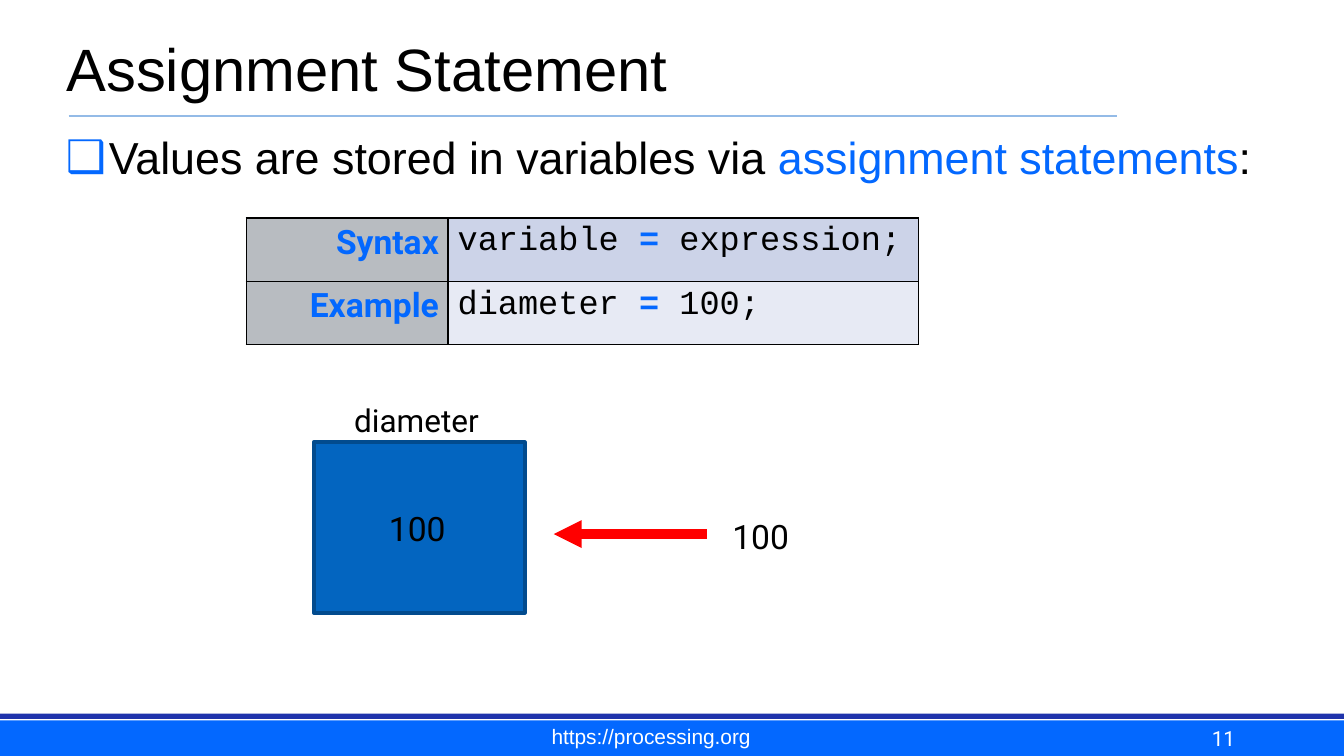
"""Build the slide that explains the assignment statement."""
from dataclasses import dataclass

from lxml.etree import SubElement
from pptx import Presentation
from pptx.dml.color import RGBColor
from pptx.enum.shapes import MSO_CONNECTOR, MSO_SHAPE
from pptx.enum.text import MSO_ANCHOR, PP_ALIGN
from pptx.oxml.ns import qn
from pptx.util import Inches, Pt


@dataclass(frozen=True)
class Theme:
    black: str = "000000"
    white: str = "FFFFFF"
    accent: str = "0368FF"
    navy: str = "1F33AB"
    rule: str = "94BBE7"
    label_fill: str = "B8BCC1"
    row_fills: tuple = ("CCD3E8", "E7EAF4")
    memory_fill: str = "0365C0"
    memory_edge: str = "024B8E"
    arrow: str = "FF0000"
    sans: str = "Arial"
    label: str = "Roboto"
    code: str = "Courier New"
    title_size: float = 32
    body_size: float = 24
    value_size: float = 18
    name_size: float = 16.9
    footer_size: float = 11.2


class SlideBuilder:
    cell = 0.1

    def __init__(self, page, theme):
        self.page = page
        self.theme = theme

    def grid(self, *counts):
        return [Inches(count * self.cell) for count in counts]

    def spans(self, para, parts, font, size):
        for text, color, bold in parts:
            span = para.add_run()
            span.text = text
            span.font.name = font
            span.font.size = Pt(size)
            span.font.bold = bold
            span.font.color.rgb = RGBColor.from_string(color)

    def text(self, area, parts, font, size, align=PP_ALIGN.CENTER,
             anchor=MSO_ANCHOR.TOP, insets=(1, 0.5), bullet=None):
        box = self.page.shapes.add_textbox(*self.grid(*area))
        frame = box.text_frame
        frame.word_wrap = True
        frame.vertical_anchor = anchor
        frame.margin_left, frame.margin_top = self.grid(*insets)
        frame.margin_right, frame.margin_bottom = self.grid(*insets)
        para = frame.paragraphs[0]
        para.alignment = align
        if bullet:
            self.bullet(para, bullet)
        self.spans(para, parts, font, size)

    def bullet(self, para, mark):
        props = para._p.get_or_add_pPr()
        hang = Inches(0.32)
        props.set("marL", str(hang))
        props.set("indent", str(-hang))
        color = SubElement(props, qn("a:buClr"))
        SubElement(color, qn("a:srgbClr"), val=self.theme.accent)
        SubElement(props, qn("a:buFont"), typeface=self.theme.sans)
        SubElement(props, qn("a:buChar"), char=mark)

    def rectangle(self, area, fill, edge=None, weight=0):
        box = self.page.shapes.add_shape(MSO_SHAPE.RECTANGLE, *self.grid(*area))
        box.shadow.inherit = False
        box.fill.solid()
        box.fill.fore_color.rgb = RGBColor.from_string(fill)
        if edge:
            box.line.color.rgb = RGBColor.from_string(edge)
            box.line.width = Pt(weight)
        else:
            box.line.fill.background()

    def line(self, ends, color, weight, arrow=False):
        line = self.page.shapes.add_connector(MSO_CONNECTOR.STRAIGHT, *self.grid(*ends))
        line.line.color.rgb = RGBColor.from_string(color)
        line.line.width = Pt(weight)
        if arrow:
            SubElement(line.line._get_or_add_ln(), qn("a:tailEnd"), type="triangle")
        SubElement(line._element.spPr, qn("a:effectLst"))

    def borders(self, cell):
        props = cell._tc.get_or_add_tcPr()
        for side in ("lnL", "lnR", "lnT", "lnB"):
            edge = SubElement(props, qn(f"a:{side}"), w=str(Pt(1)))
            fill = SubElement(edge, qn("a:solidFill"))
            SubElement(fill, qn("a:srgbClr"), val=self.theme.black)

    def table(self, area, widths, rows):
        theme = self.theme
        table = self.page.shapes.add_table(len(rows), len(widths), *self.grid(*area)).table
        table.first_row = table.horz_banding = False
        for column, width in zip(table.columns, self.grid(*widths)):
            column.width = width
        for index, (label, code) in enumerate(rows):
            contents = (
                ([(label, theme.accent, True)], theme.label, theme.label_fill, PP_ALIGN.RIGHT),
                (code, theme.code, theme.row_fills[index], PP_ALIGN.LEFT),
            )
            for column, (parts, font, fill, align) in enumerate(contents):
                cell = table.cell(index, column)
                cell.margin_left, cell.margin_top = self.grid(0.7, 0.35)
                cell.margin_right, cell.margin_bottom = self.grid(0.7, 0.35)
                self.borders(cell)
                cell.fill.solid()
                cell.fill.fore_color.rgb = RGBColor.from_string(fill)
                para = cell.text_frame.paragraphs[0]
                para.alignment = align
                self.spans(para, parts, font, theme.value_size)


def assignment(theme, target, value):
    return [(f"{target} ", theme.black, False), ("=", theme.accent, True),
            (f" {value};", theme.black, False)]


def main():
    theme = Theme()
    deck = Presentation()
    deck.slide_width = Inches(10)
    deck.slide_height = deck.slide_width * 9 // 16
    slide = SlideBuilder(deck.slides.add_slide(deck.slide_layouts[6]), theme)
    tight = (0.6, 0.6)

    slide.rectangle((0, 53.6, 100, 2.65), theme.accent)
    slide.rectangle((0, 53.1, 100, 0.4), theme.navy)
    slide.line((5.1, 8.63, 83.1, 8.63), theme.rule, 1.25)
    slide.text((4.35, 0, 85, 8.3), [("Assignment Statement", theme.black, False)],
               theme.sans, theme.title_size, PP_ALIGN.LEFT, MSO_ANCHOR.BOTTOM, tight)
    statement = [("Values are stored in variables via ", theme.black, False),
                 ("assignment statements", theme.accent, False),
                 (":", theme.black, False)]
    slide.text((4.3, 9.05, 93.8, 19.8), statement, theme.sans, theme.body_size,
               PP_ALIGN.LEFT, insets=tight, bullet="❑")

    slide.table((18.33, 16.24, 50, 9.4), (15.02, 34.98), [
        ("Syntax", assignment(theme, "variable", "expression")),
        ("Example", assignment(theme, "diameter", "100")),
    ])

    slide.text((35.15, 53.55, 26.6, 2.6), [("https://processing.org", theme.white, False)],
               theme.sans, theme.footer_size, anchor=MSO_ANCHOR.BOTTOM, insets=(0.8, 0.4))
    slide.text((71.7, 53.35, 20.8, 3.1), [("11", theme.white, False)], theme.label,
               theme.footer_size, PP_ALIGN.RIGHT, MSO_ANCHOR.BOTTOM, tight)

    slide.line((52.6, 39.74, 41.2, 39.74), theme.arrow, 5, arrow=True)
    slide.rectangle((23.35, 32.9, 15.7, 12.7), theme.memory_fill, theme.memory_edge, 2)
    for area, words, size in (
        ((25.3, 29.35, 11.4, 3.9), "diameter", theme.name_size),
        ((53.5, 37.9, 6.2, 4), "100", theme.value_size),
        ((27.45, 37.3, 7.2, 4), "100", theme.value_size),
    ):
        slide.text(area, [(words, theme.black, False)], theme.label, size)

    deck.save("out.pptx")


if __name__ == "__main__":
    main()
